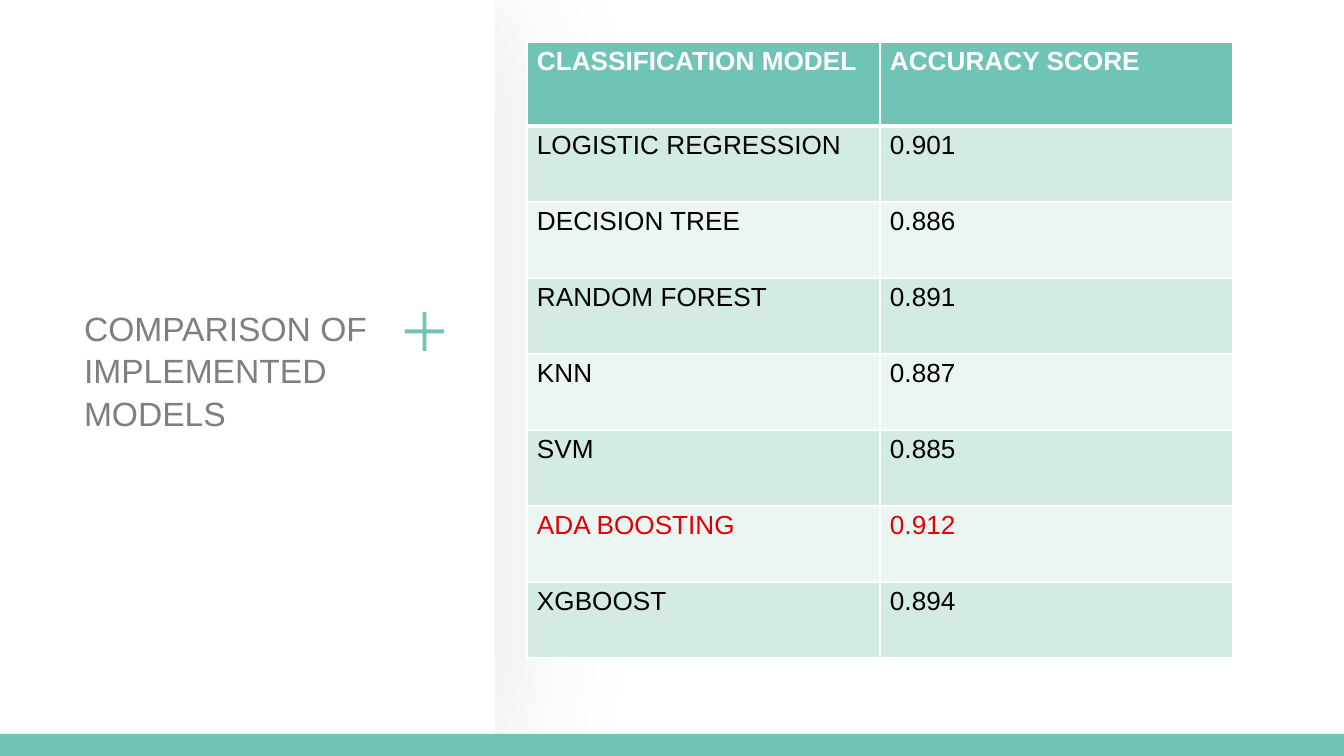
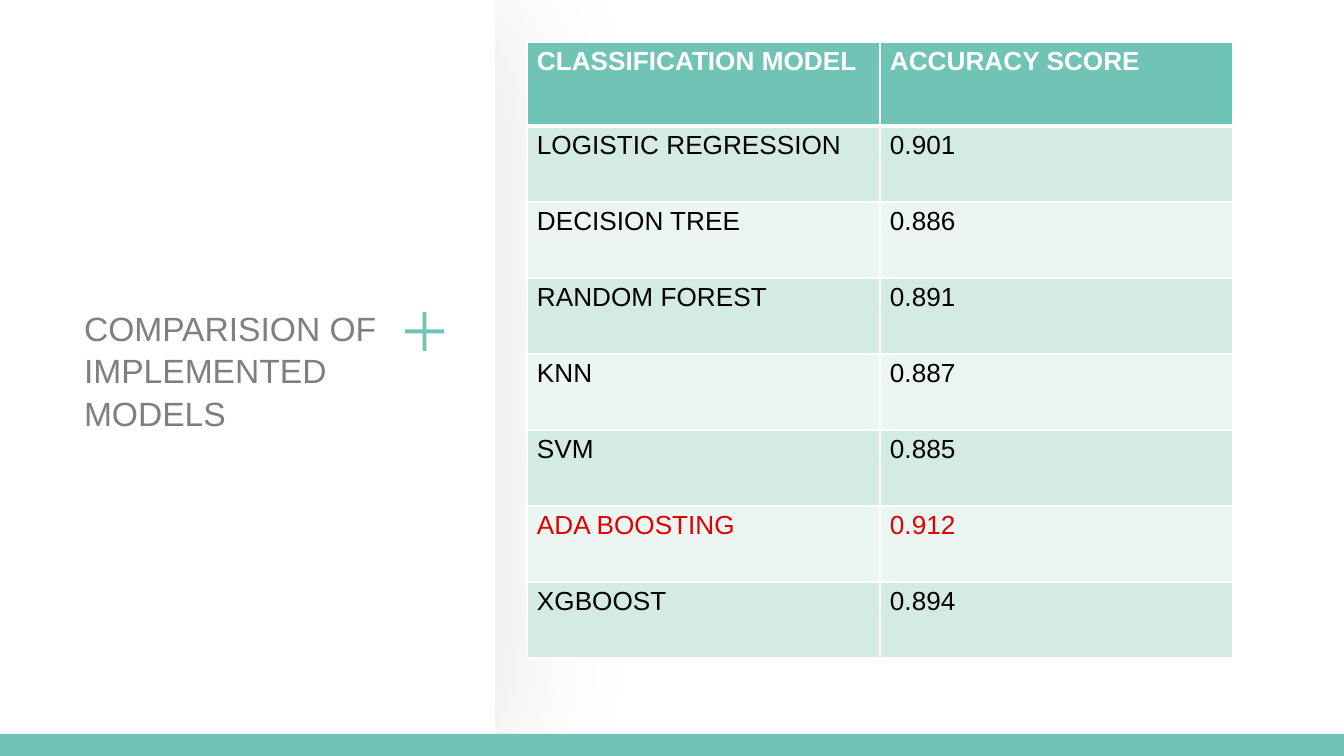
"""Build two slides that compare the accuracy of classification models."""
from lxml.etree import SubElement
from pptx import Presentation
from pptx.dml.color import RGBColor
from pptx.enum.shapes import MSO_SHAPE
from pptx.oxml.ns import qn
from pptx.util import Emu, Pt

FONT = "Arial"
TEAL, WHITE, GREY, BLACK, RED = "6FC4B6", "FFFFFF", "7F7F7F", "000000", "E30000"
BANDS = ("D4EAE5", "EBF5F2")
WIDTH, HEIGHT = 1344, 756
TITLES = (
    "COMPARISON OF IMPLEMENTED MODELS",
    "COMPARISION OF IMPLEMENTED MODELS",
)
HEADINGS = ("CLASSIFICATION MODEL", "ACCURACY SCORE")
SCORES = (
    ("LOGISTIC REGRESSION", "0.901"),
    ("DECISION TREE", "0.886"),
    ("RANDOM FOREST", "0.891"),
    ("KNN", "0.887"),
    ("SVM", "0.885"),
    ("ADA BOOSTING", "0.912"),
    ("XGBOOST", "0.894"),
)
BEST_MODEL = "ADA BOOSTING"


def px(length):
    return Emu(round(length * 914400 / 134.4))


def color(value):
    return RGBColor.from_string(value)


class Slides:
    def __init__(self):
        self.deck = Presentation()
        self.deck.slide_width, self.deck.slide_height = px(WIDTH), px(HEIGHT)
        self.page = None

    def add_page(self):
        self.page = self.deck.slides.add_slide(self.deck.slide_layouts[6])
        self.page.background.fill.solid()
        self.page.background.fill.fore_color.rgb = color(WHITE)

    def shape(self, kind, left, top, width, height, fill):
        shape = self.page.shapes.add_shape(
            kind, px(left), px(top), px(width), px(height))
        shape.shadow.inherit = False
        shape.fill.solid()
        shape.fill.fore_color.rgb = color(fill)
        shape.line.fill.background()
        return shape

    def soft_shadow(self, shape):
        effects = shape._element.spPr.find(qn("a:effectLst"))
        shadow = SubElement(
            effects, qn("a:outerShdw"), blurRad=str(Pt(77)), dist=str(Pt(5)),
            dir=str(45 * 60000), algn="tl", rotWithShape="0")
        shade = SubElement(shadow, qn("a:srgbClr"), val=BLACK)
        SubElement(shade, qn("a:alpha"), val="10000")

    def style(self, para, size, ink, bold=False):
        font = para.font
        font.name, font.size, font.bold = FONT, Pt(size), bold
        font.color.rgb = color(ink)

    def insets(self, holder, side, end):
        holder.margin_left = holder.margin_right = px(side)
        holder.margin_top = holder.margin_bottom = px(end)

    def title(self, text, left, top, width, height):
        box = self.page.shapes.add_textbox(
            px(left), px(top), px(width), px(height))
        frame = box.text_frame
        frame.word_wrap = True
        self.insets(frame, 10, 5)
        para = frame.paragraphs[0]
        para.text = text
        para.line_spacing = 1.05
        self.style(para, 18, GREY)

    def borders(self, cell, header, below_header):
        properties = cell._tc.get_or_add_tcPr()
        widths = {"L": 1, "R": 1, "T": 3 if below_header else 1,
                  "B": 3 if header else 1}
        for side, width in widths.items():
            line = SubElement(properties, qn(f"a:ln{side}"), w=str(Pt(width)))
            fill = SubElement(line, qn("a:solidFill"))
            SubElement(fill, qn("a:srgbClr"), val=WHITE)

    def cell(self, cell, text, row, fill, ink):
        self.borders(cell, row == 0, row == 1)
        cell.fill.solid()
        cell.fill.fore_color.rgb = color(fill)
        self.insets(cell, 10, 5)
        cell.text = text
        self.style(cell.text_frame.paragraphs[0], 14, ink, row == 0)

    def table(self, rows, left, top, column_width, header_height, row_height):
        columns = len(rows[0])
        height = header_height + row_height * (len(rows) - 1)
        table = self.page.shapes.add_table(
            len(rows), columns, px(left), px(top),
            px(column_width * columns), px(height)).table
        for column in table.columns:
            column.width = px(column_width)
        for index, values in enumerate(rows):
            table.rows[index].height = px(row_height if index else header_height)
            fill = BANDS[(index - 1) % 2] if index else TEAL
            ink = BLACK if index else WHITE
            if values[0] == BEST_MODEL:
                ink = RED
            for position, text in enumerate(values):
                self.cell(table.cell(index, position), text, index, fill, ink)

    def comparison(self, title):
        self.add_page()
        panel = self.shape(MSO_SHAPE.RECTANGLE, 0, 0, 495, HEIGHT, WHITE)
        self.soft_shadow(panel)
        plus = self.shape(MSO_SHAPE.CROSS, 405, 312, 39, 39, TEAL)
        plus.adjustments[0] = 0.45
        self.title(title, 74, 301, 351, 34)
        self.shape(MSO_SHAPE.RECTANGLE, 0, 734, WIDTH, 22, TEAL)
        self.table((HEADINGS, *SCORES), 527, 42, 353, 84, 76)


def main():
    slides = Slides()
    for title in TITLES:
        slides.comparison(title)
    slides.deck.save("out.pptx")


if __name__ == "__main__":
    main()
